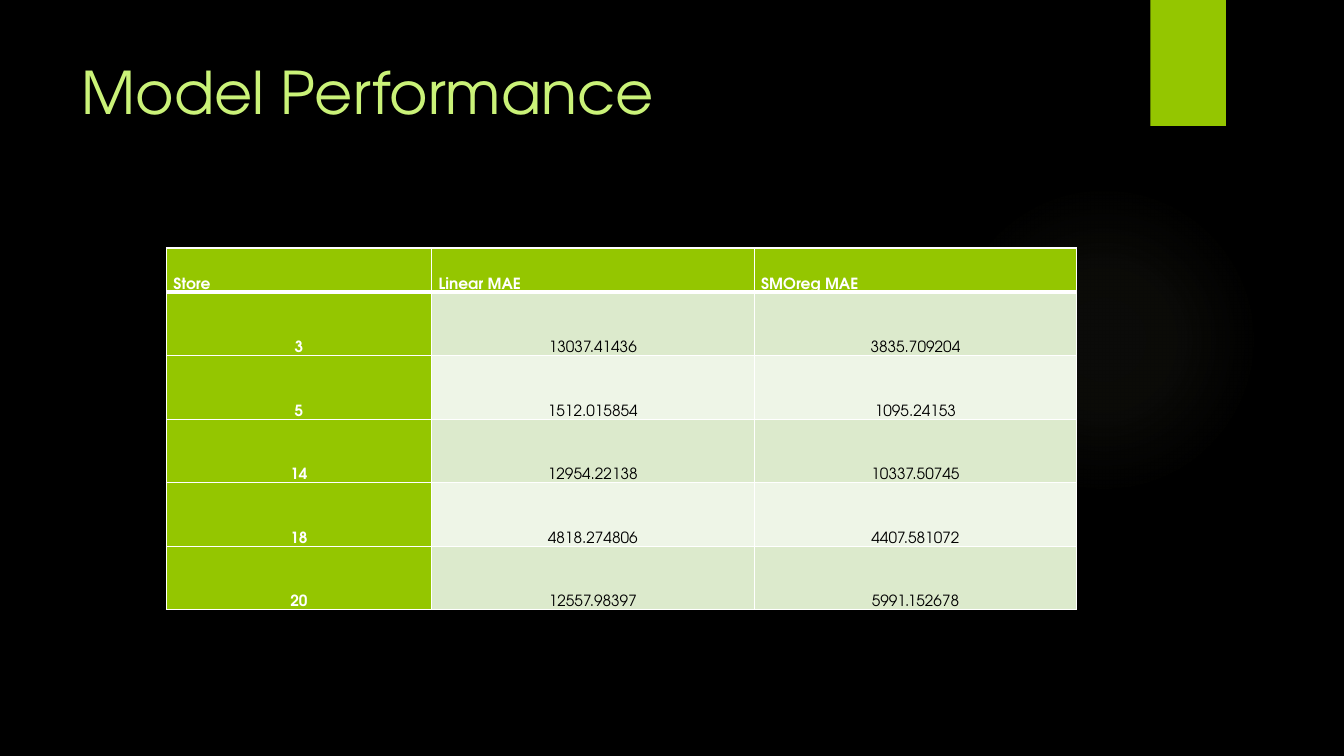
import pptx
import pptx.util
import pptx.dml.color
import pptx.enum.shapes
import pptx.enum.text
import pptx.oxml
import pptx.oxml.ns

Inches = pptx.util.Inches
Pt = pptx.util.Pt
RGBColor = pptx.dml.color.RGBColor
MSO_SHAPE = pptx.enum.shapes.MSO_SHAPE
MSO_ANCHOR = pptx.enum.text.MSO_ANCHOR
PP_ALIGN = pptx.enum.text.PP_ALIGN

FONT = "TeX Gyre Adventor"
BLACK = RGBColor(0x00, 0x00, 0x00)
WHITE = RGBColor(0xFF, 0xFF, 0xFF)
GREEN = RGBColor(0x94, 0xC6, 0x00)
TITLE_GREEN = RGBColor(0xCA, 0xF2, 0x78)
GLOW = RGBColor(0x99, 0x97, 0x73)
BANDS = (RGBColor(0xDC, 0xEA, 0xCC), RGBColor(0xEE, 0xF5, 0xE7))

GLOW_STOPS = ((0, 7), (36, 6), (69, 0))  # position and opacity, in percent
HEADINGS = ("Store", "Linear MAE", "SMOreg MAE")
RESULTS = (
    ("3", "13037.41436", "3835.709204"),
    ("5", "1512.015854", "1095.24153"),
    ("14", "12954.22138", "10337.50745"),
    ("18", "4818.274806", "4407.581072"),
    ("20", "12557.98397", "5991.152678"),
)
COLUMN_WIDTHS = (2.63, 3.2, 3.2)
HEADING_HEIGHT = 0.44
RESULT_HEIGHT = 0.63


def add_run(paragraph, text, size, color, bold=False):
    run = paragraph.add_run()
    run.text = text
    run.font.name = FONT
    run.font.size = Pt(size)
    run.font.bold = bold
    run.font.color.rgb = color


def add_plain_shape(slide, kind, left, top, width, height):
    shape = slide.shapes.add_shape(
        kind, Inches(left), Inches(top), Inches(width), Inches(height))
    shape.shadow.inherit = False
    shape.line.fill.background()
    return shape


def add_glow(slide):
    """Add the faint circle that fades out from its centre."""
    glow = add_plain_shape(slide, MSO_SHAPE.OVAL, 9.41, 1.83, 3.08, 3.08)
    glow.fill.background()
    stops = "".join(
        f'<a:gs pos="{position * 1000}"><a:srgbClr val="{GLOW}">'
        f'<a:alpha val="{opacity * 1000}"/></a:srgbClr></a:gs>'
        for position, opacity in GLOW_STOPS)
    gradient = pptx.oxml.parse_xml(
        f'<a:gradFill {pptx.oxml.ns.nsdecls("a")}><a:gsLst>{stops}</a:gsLst>'
        '<a:path path="circle"><a:fillToRect l="50000" t="50000" r="50000" b="50000"/>'
        '</a:path></a:gradFill>')
    properties = glow.element.spPr
    properties.replace(properties.find(pptx.oxml.ns.qn("a:noFill")), gradient)


def add_corner_tab(slide):
    tab = add_plain_shape(slide, MSO_SHAPE.RECTANGLE, 11.41, 0, 0.75, 1.25)
    tab.fill.solid()
    tab.fill.fore_color.rgb = GREEN


def set_title(slide, text):
    title = slide.shapes.title
    title.left, title.top = Inches(0.71), Inches(0.5)
    title.width, title.height = Inches(10.29), Inches(1.53)
    frame = title.text_frame
    frame.word_wrap = True
    frame.auto_size = pptx.enum.text.MSO_AUTO_SIZE.NONE
    frame.vertical_anchor = MSO_ANCHOR.TOP
    paragraph = frame.paragraphs[0]
    paragraph.alignment = PP_ALIGN.LEFT
    add_run(paragraph, text, 42, TITLE_GREEN)


def set_borders(cell, **widths):
    """Draw white borders; widths are points by side: L, R, T, B."""
    properties = cell._tc.get_or_add_tcPr()
    for side, width in widths.items():
        properties.append(pptx.oxml.parse_xml(
            f'<a:ln{side} {pptx.oxml.ns.nsdecls("a")} w="{Pt(width)}">'
            f'<a:solidFill><a:srgbClr val="{WHITE}"/></a:solidFill></a:ln{side}>'))


def fill_cell(cell, text, row, column):
    is_heading = row == 0
    is_label = is_heading or column == 0
    set_borders(cell, L=1, R=1, T=3 if row == 1 else 1, B=3 if is_heading else 1)
    cell.fill.solid()
    cell.fill.fore_color.rgb = GREEN if is_label else BANDS[(row - 1) % 2]
    cell.vertical_anchor = MSO_ANCHOR.BOTTOM
    cell.margin_left = cell.margin_right = Inches(0.07)
    cell.margin_top = cell.margin_bottom = 0
    paragraph = cell.text_frame.paragraphs[0]
    paragraph.alignment = PP_ALIGN.LEFT if is_heading else PP_ALIGN.CENTER
    paragraph.line_spacing = 1.15
    add_run(paragraph, text, 11, WHITE if is_label else BLACK, is_label)


def add_results_table(slide):
    rows = (HEADINGS,) + RESULTS
    heights = [HEADING_HEIGHT] + [RESULT_HEIGHT] * len(RESULTS)
    table = slide.shapes.add_table(
        len(rows), len(HEADINGS), Inches(1.65), Inches(2.46),
        Inches(sum(COLUMN_WIDTHS)), Inches(sum(heights))).table
    table.first_col = True
    for column, width in zip(table.columns, COLUMN_WIDTHS):
        column.width = Inches(width)
    for r, (texts, height) in enumerate(zip(rows, heights)):
        table.rows[r].height = Inches(height)
        for c, text in enumerate(texts):
            fill_cell(table.cell(r, c), text, r, c)


def main():
    deck = pptx.Presentation()
    deck.slide_width, deck.slide_height = Inches(13.33), Inches(7.5)
    slide = deck.slides.add_slide(deck.slide_layouts.get_by_name("Title Only"))
    slide.background.fill.solid()
    slide.background.fill.fore_color.rgb = BLACK
    add_glow(slide)
    add_corner_tab(slide)
    set_title(slide, "Model Performance")
    add_results_table(slide)
    deck.save("out.pptx")


if __name__ == "__main__":
    main()
